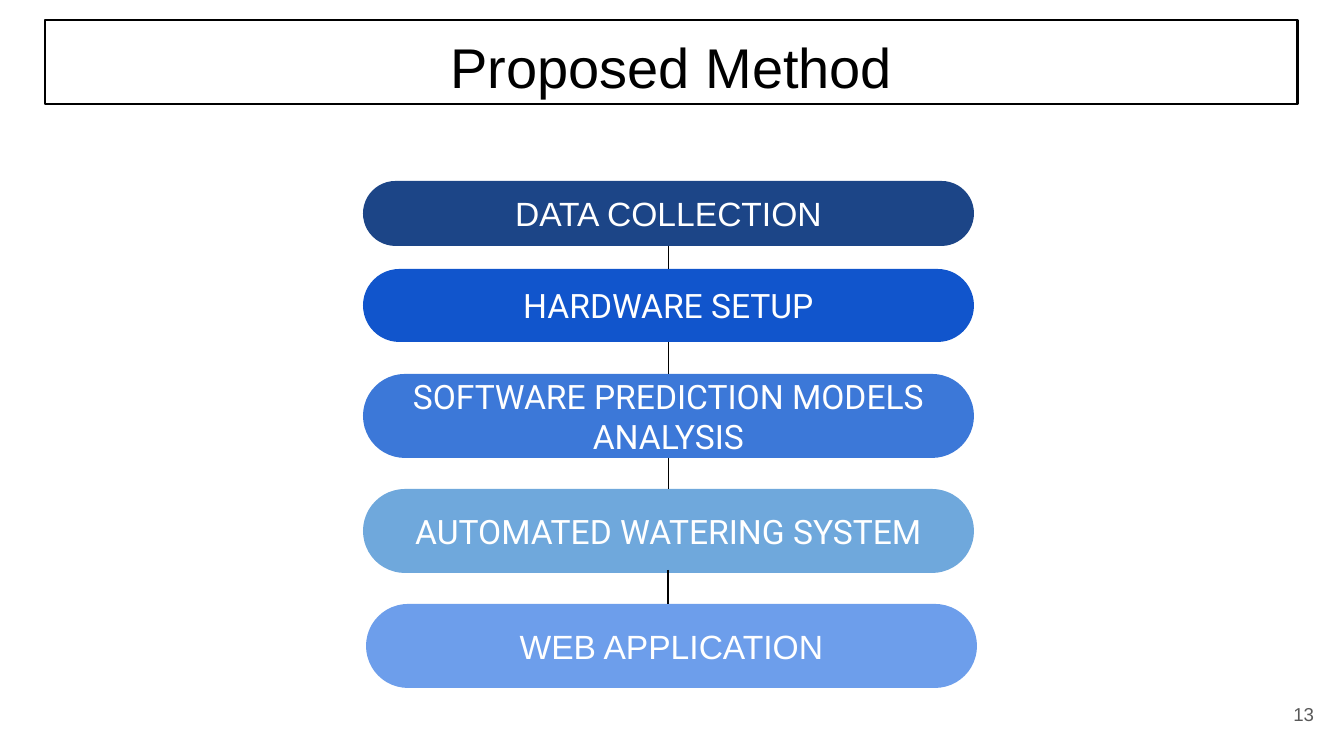
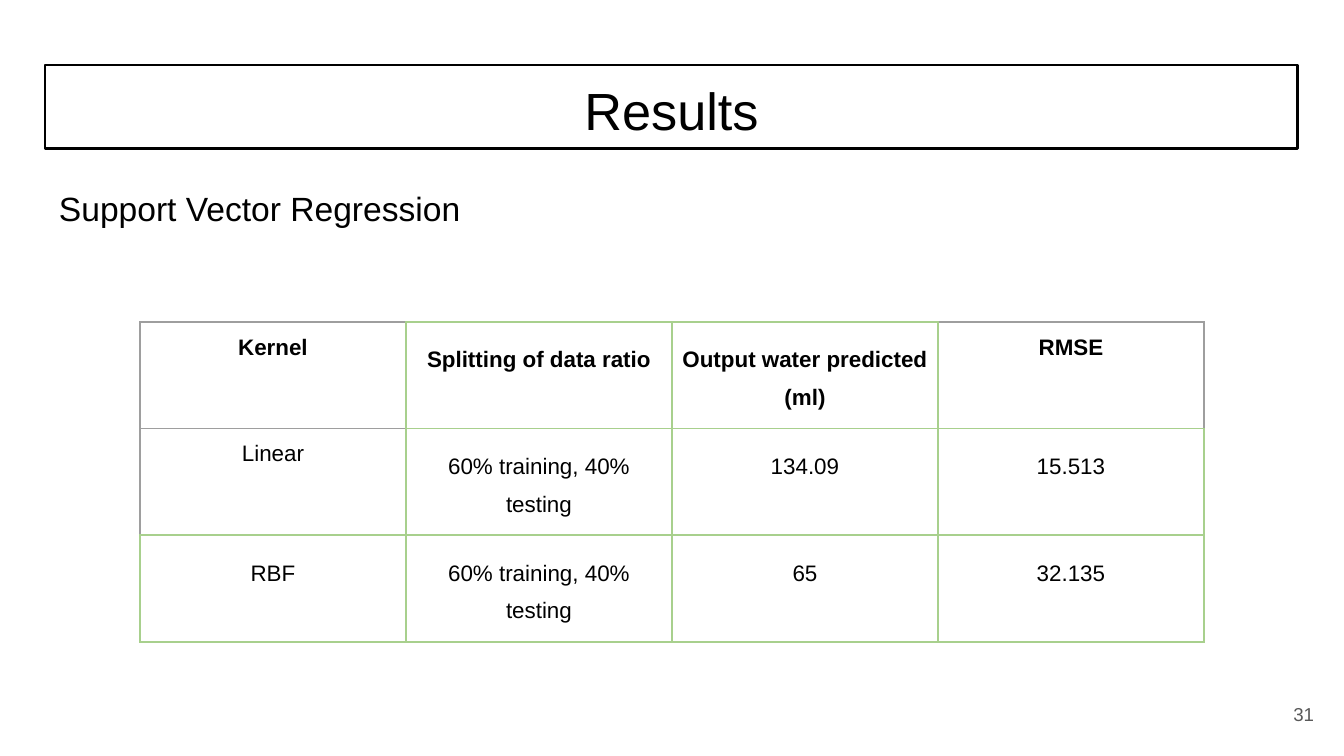
from lxml import etree
from pptx import Presentation
from pptx import util as u
from pptx.dml.color import RGBColor
from pptx.enum import shapes, text
from pptx.oxml.ns import qn

PX = 914400 / 134.4
C = {"black": "000000", "white": "FFFFFF", "number": "595959",
     "green": "A8D08D", "grey": "9E9E9E", "navy": "1C4587", "royal": "1155CC",
     "blue": "3C78D8", "sky": "6FA8DC", "light": "6D9EEB"}
CENTER, RIGHT = text.PP_ALIGN.CENTER, text.PP_ALIGN.RIGHT
TOP, MIDDLE = text.MSO_ANCHOR.TOP, text.MSO_ANCHOR.MIDDLE
INSET = 13

PILL_W = 611
STEPS = [  # label, font, colour, left, top, height
    ("DATA COLLECTION", "Arial", "navy", 363, 181, 65),
    ("HARDWARE SETUP", "Roboto", "royal", 363, 269, 73),
    ("SOFTWARE PREDICTION MODELS ANALYSIS", "Roboto", "blue", 363, 374, 84),
    ("AUTOMATED WATERING SYSTEM", "Roboto", "sky", 363, 489, 84),
    ("WEB APPLICATION", "Arial", "light", 366, 604, 84),
]
LAST_LINK = (668, 570, 668, 604)

RESULTS = [
    ("Kernel", "Splitting of data ratio", "Output water predicted (ml)", "RMSE"),
    ("Linear", "60% training, 40% testing", "134.09", "15.513"),
    ("RBF", "60% training, 40% testing", "65", "32.135"),
]
TABLE_X, TABLE_Y, COL_W, ROW_H = 140, 322, 266, 102
# Single-spaced cells, with their grey edges
PLAIN_CELLS = {(0, 0): "LTB", (0, 3): "TR", (1, 0): "LT"}


def px(*values):
    return [u.Emu(round(v * PX)) for v in values]


def rgb(name):
    return RGBColor.from_string(C[name])


def write(tf, words, size, color="black", font="Arial", bold=False, **para):
    p = tf.paragraphs[0]
    for key, value in para.items():
        setattr(p, key, value)
    r = p.add_run()
    r.text = words
    for key, value in dict(name=font, size=u.Pt(size), bold=bold).items():
        setattr(r.font, key, value)
    r.font.color.rgb = rgb(color)


def set_margins(target, side, upright=INSET):
    for name, value in dict(left=side, right=side, top=upright, bottom=upright).items():
        setattr(target, "margin_" + name, px(value)[0])


def prepare_frame(sp, anchor):
    tf = sp.text_frame
    tf.word_wrap = True
    tf.vertical_anchor = anchor
    set_margins(tf, INSET)
    return tf


def add_label(s, box, words, size, anchor=TOP, **style):
    sp = s.shapes.add_textbox(*px(*box))
    write(prepare_frame(sp, anchor), words, size, **style)


def add_box(s, kind, box, words, size, anchor, fill=None, **style):
    """Add a shape that is either filled or outlined in black."""
    sp = s.shapes.add_shape(kind, *px(*box))
    sp.shadow.inherit = False
    if fill:
        sp.fill.solid()
        sp.fill.fore_color.rgb = rgb(fill)
        sp.line.fill.background()
    else:
        sp.fill.background()
        sp.line.color.rgb = rgb("black")
        sp.line.width = u.Pt(1.5)
    write(prepare_frame(sp, anchor), words, size, alignment=CENTER, **style)
    return sp


def add_slide(prs, title, title_top, title_size, number):
    s = prs.slides.add_slide(prs.slide_layouts[6])
    add_box(s, shapes.MSO_SHAPE.RECTANGLE, (45, title_top, 1253, 84),
            title, title_size, TOP)
    add_label(s, (1246, 685, 81, 58), number, 10, MIDDLE,
              color="number", alignment=RIGHT)
    return s


def add_link(s, ends):
    line = s.shapes.add_connector(shapes.MSO_CONNECTOR.STRAIGHT, *px(*ends))
    line.line.color.rgb = rgb("black")
    line.line.width = u.Pt(0.75)
    etree.SubElement(line._element.spPr, qn("a:effectLst"))
    return line


def add_border(cell, side, color, width):
    ln = etree.SubElement(cell._tc.get_or_add_tcPr(), qn("a:ln" + side),
                          w=str(u.Pt(width)))
    fill = etree.SubElement(ln, qn("a:solidFill"))
    etree.SubElement(fill, qn("a:srgbClr"), val=C[color])


def build_method(prs):
    s = add_slide(prs, "Proposed Method", 20, 30, "13")
    pills = []
    for label, font, color, x, y, h in STEPS:
        sp = add_box(s, shapes.MSO_SHAPE.ROUNDED_RECTANGLE, (x, y, PILL_W, h),
                     label, 18, MIDDLE, fill=color, color="white", font=font)
        sp.adjustments[0] = 0.5
        pills.append(sp)
    for upper, lower in zip(pills[:-2], pills[1:-1]):
        line = add_link(s, (0, 0, 0, 0))
        line.begin_connect(upper, 2)
        line.end_connect(lower, 0)
    add_link(s, LAST_LINK)


def build_results(prs):
    s = add_slide(prs, "Results", 65, 28, "31")
    add_label(s, (46, 169, 1253, 503), "Support Vector Regression", 18,
              line_spacing=1.15)
    rows, cols = len(RESULTS), len(RESULTS[0])
    table = s.shapes.add_table(rows, cols, *px(
        TABLE_X, TABLE_Y, cols * COL_W, rows * ROW_H)).table
    table.first_row = table.horz_banding = False
    for column in table.columns:
        column.width = px(COL_W)[0]
    for i, values in enumerate(RESULTS):
        table.rows[i].height = px(ROW_H)[0]
        for j, value in enumerate(values):
            cell = table.cell(i, j)
            plain = (i, j) in PLAIN_CELLS
            set_margins(cell, INSET if plain else 9)
            for side in "LRTB":
                grey = side in PLAIN_CELLS.get((i, j), "")
                add_border(cell, side, *(("grey", 0.75) if grey else ("green", 1)))
            cell.fill.background()
            write(cell.text_frame, value, 12, bold=i == 0, alignment=CENTER,
                  line_spacing=None if plain else 1.5)


def main():
    prs = Presentation()
    prs.slide_width, prs.slide_height = px(1344, 756)
    build_method(prs)
    build_results(prs)
    prs.save("out.pptx")


if __name__ == "__main__":
    main()
